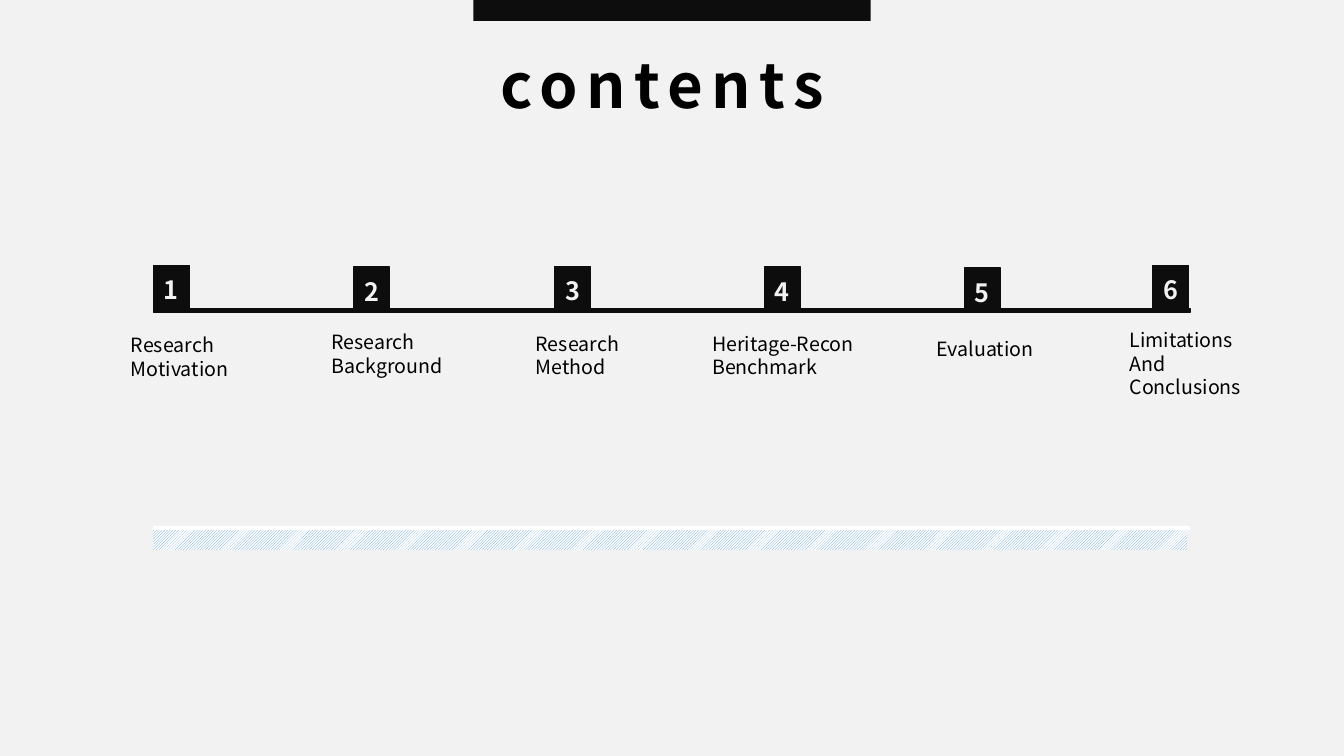
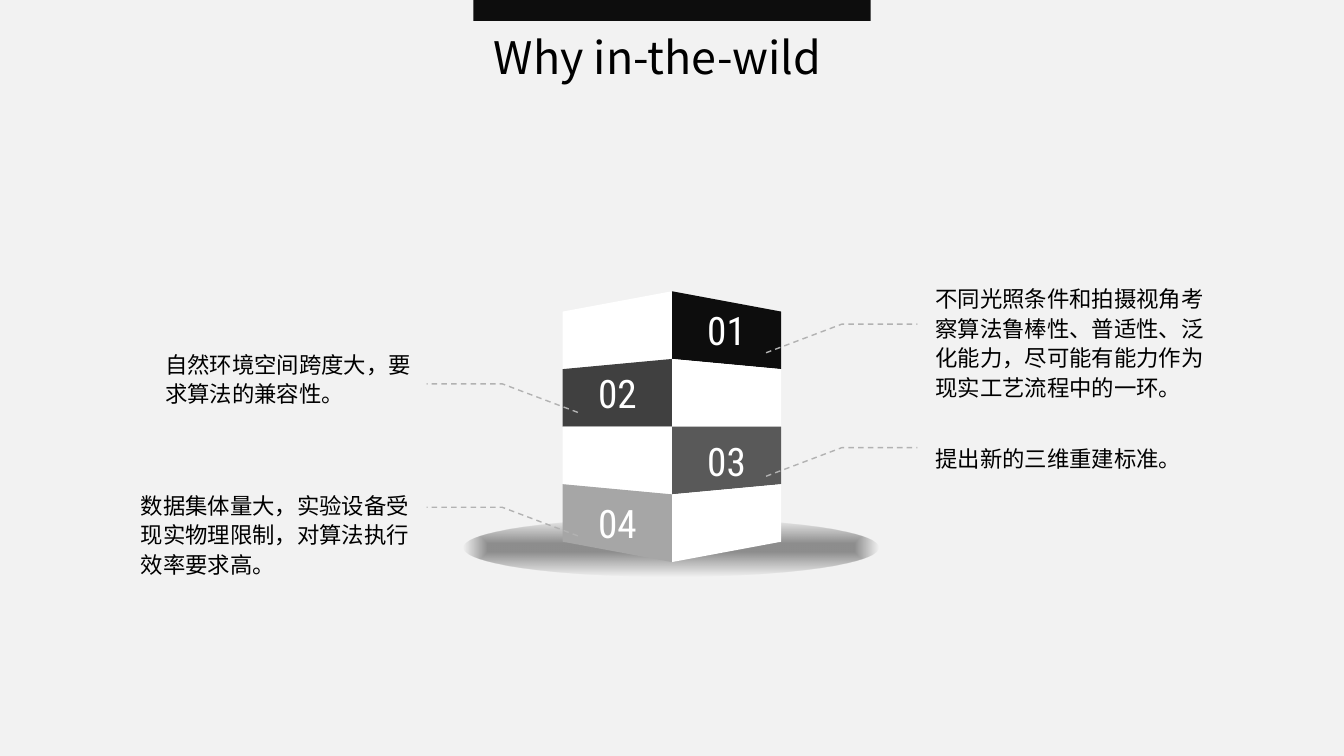
from dataclasses import dataclass

from pptx import Presentation, oxml, util as u
from pptx.dml.color import RGBColor
from pptx.enum import dml, shapes, text
from pptx.oxml import ns


@dataclass(frozen=True)
class Theme:
    paper: str = "F2F2F2"
    ink: str = "000000"
    black: str = "0D0D0D"
    white: str = "FFFFFF"
    blue: str = "5B9BD5"
    leader: str = "B2B2B2"
    shadow: str = "333333"
    latin: str = "Noto Sans CJK JP"
    chinese: str = "Noto Sans CJK SC"
    digits: str = "Roboto Condensed"
    contents_size: int = 44
    title_size: int = 32
    block_size: int = 28
    number_size: int = 18
    body_size: int = 16
    label_size: int = 14


theme = Theme()
rgb = RGBColor.from_string
COLUMNS, CENTRE = 160, 80

presentation = Presentation()
presentation.slide_width = u.Inches(13.333)
presentation.slide_height = u.Inches(7.5)
unit = presentation.slide_width / COLUMNS


def grid(*cells):
    return [round(cell * unit) for cell in cells]


def style(shape, fill=None, line=None, lines=(), font=theme.latin, size=theme.label_size,
          color=theme.ink, bold=False, align=text.PP_ALIGN.LEFT, anchor=text.MSO_ANCHOR.TOP,
          pitch=None, tracking=0):
    if fill:
        shape.shadow.inherit = False
        shape.fill.solid()
        shape.fill.fore_color.rgb = rgb(fill)
        shape.line.fill.background()
    if line:
        shape.line.color.rgb = rgb(line)
        shape.line.width = u.Pt(1)
    if not lines:
        return
    frame = shape.text_frame
    frame_format = {"word_wrap": True, "auto_size": text.MSO_AUTO_SIZE.NONE, "vertical_anchor": anchor}
    for name, value in frame_format.items():
        setattr(frame, name, value)
    frame.text = "\n".join(lines)
    for paragraph in frame.paragraphs:
        paragraph.alignment = align
        paragraph.line_spacing = u.Pt(pitch or size * 1.2)
        run = paragraph.runs[0]
        for name, value in {"name": font, "size": u.Pt(size), "bold": bold}.items():
            setattr(run.font, name, value)
        run.font.color.rgb = rgb(color)
        properties = run.font._element
        east_asian = oxml.parse_xml(f'<a:ea {ns.nsdecls("a")} typeface="{font}"/>')
        properties.find(ns.qn("a:latin")).addnext(east_asian)
        if tracking:
            properties.set("spc", str(tracking * 100))


background = presentation.slide_master.background.fill
background.solid()
background.fore_color.rgb = rgb(theme.paper)

titles = [
    ("contents", (58.4, 4.95, 44.8, 10), {"size": theme.contents_size, "bold": True, "tracking": 6}),
    ("Why in-the-wild", (57.6, 2.9, 44, 7.7), {"size": theme.title_size}),
]
rectangle = shapes.MSO_SHAPE.RECTANGLE
band_width = 47.3
for title, place, format_values in titles:
    slide = presentation.slides.add_slide(presentation.slide_layouts[5])
    band = slide.shapes.add_shape(rectangle, *grid(CENTRE - band_width / 2, 0, band_width, 2.5))
    style(band, theme.black)
    heading = slide.shapes.title
    for name, value in zip(("left", "top", "width", "height"), grid(*place)):
        setattr(heading, name, value)
    style(heading, lines=[title], **format_values)

contents, reasons = presentation.slides

rail_left, rail_width = 18.25, 123.4
strip = contents.shapes.add_shape(rectangle, *grid(rail_left, 62.9, 123.1, 2.6))
style(strip, theme.white)
strip.fill.patterned()
strip.fill.pattern = dml.MSO_PATTERN.LIGHT_UPWARD_DIAGONAL
strip.fill.fore_color.rgb = rgb(theme.blue)
strip.fill.back_color.rgb = rgb(theme.white)
for top, color, line in [(36.7, theme.black, theme.black), (62.6, theme.white, None)]:
    rail = contents.shapes.add_shape(rectangle, *grid(rail_left, top, rail_width, 0.5))
    style(rail, color, line)

chapters = [
    (18.25, 31.6, 14.4, 39.1, theme.chinese, ["Research", "Motivation"]),
    (42.1, 31.8, 38.3, 38.7, theme.chinese, ["Research", "Background"]),
    (66, 31.7, 62.6, 38.9, theme.chinese, ["Research", "Method"]),
    (91, 31.8, 83.6, 38.9, theme.latin, ["Heritage-Recon", "Benchmark"]),
    (114.8, 31.9, 110.3, 39.5, theme.latin, ["Evaluation"]),
    (137.2, 31.6, 133.3, 38.5, theme.latin, ["Limitations", "And", "Conclusions"]),
]
tab_bottom = 37
for number, (left, top, label_left, label_top, font, lines) in enumerate(chapters, 1):
    tab = contents.shapes.add_shape(rectangle, *grid(left, top, 4.3, tab_bottom - top))
    style(tab, theme.black, theme.black, [str(number)], theme.chinese, theme.number_size,
          theme.paper, True, text.PP_ALIGN.CENTER)
    tab.text_frame.margin_top = grid(1.1)[0]
    label = contents.shapes.add_textbox(*grid(label_left, label_top, 24, 1.2 + 2.8 * len(lines)))
    style(label, lines=lines, font=font)

ground = reasons.shapes.add_shape(shapes.MSO_SHAPE.OVAL, *grid(55.2, 61.8, 49.4, 6.8))
style(ground, theme.shadow)
ground._element.spPr.find(ns.qn("a:solidFill")).addprevious(oxml.parse_xml(
    f'<a:gradFill {ns.nsdecls("a")}><a:gsLst>'
    f'<a:gs pos="15000"><a:srgbClr val="{theme.shadow}"><a:alpha val="52000"/></a:srgbClr></a:gs>'
    f'<a:gs pos="100000"><a:srgbClr val="{theme.shadow}"><a:alpha val="0"/></a:srgbClr></a:gs>'
    '</a:gsLst><a:path path="shape"><a:fillToRect l="50000" t="50000" r="50000" b="50000"/>'
    '</a:path></a:gradFill>'))
ground._element.spPr.remove(ground._element.spPr.find(ns.qn("a:solidFill")))

eye_level, face_width, outer_step, inner_step = 50.8, 13, 6.85, 8.06
blocks = [(1, theme.black), (-1, "404040"), (1, "595959"), (-1, "A6A6A6")]
for row, (numbered_side, color) in enumerate(blocks):
    outer, inner = ([eye_level + step * (edge - 2) for edge in (row, row + 1)]
                    for step in (outer_step, inner_step))
    for side in (1, -1):
        edge = CENTRE + side * face_width
        corners = [grid(*point) for point in
                   [(CENTRE, inner[0]), (edge, outer[0]), (edge, outer[1]), (CENTRE, inner[1])]]
        builder = reasons.shapes.build_freeform(*corners[0])
        builder.add_line_segments(corners[1:], close=True)
        face = builder.convert_to_shape()
        numbered = side == numbered_side
        style(face, color if numbered else theme.white, lines=[f"0{row + 1}"] if numbered else (),
              font=theme.digits, size=theme.block_size, color=theme.white,
              align=text.PP_ALIGN.CENTER, anchor=text.MSO_ANCHOR.MIDDLE)

notes = [
    (1, 38.6, (110.2, 33.1, 36, 15), "不同光照条件和拍摄视角考察算法鲁棒性、普适性、泛化能力，尽可能有能力作为现实工艺流程中的一环。"),
    (-1, 45.7, (18.5, 40.9, 32, 8), "自然环境空间跨度大，要求算法的兼容性。"),
    (1, 53.3, (110.2, 52.1, 32, 4.5), "提出新的三维重建标准。"),
    (-1, 60.4, (15.6, 57.7, 36, 11.5), "数据集体量大，实验设备受现实物理限制，对算法执行效率要求高。"),
]
for side, top, place, words in notes:
    points = [grid(CENTRE + side * reach, top + drop)
              for reach, drop in [(11.2, 3.4), (20.2, 0), (29.2, 0)]]
    builder = reasons.shapes.build_freeform(*points[0])
    builder.add_line_segments(points[1:], close=False)
    leader = builder.convert_to_shape()
    style(leader, theme.white, theme.leader)
    leader.fill.background()
    leader.line.dash_style = dml.MSO_LINE.DASH
    note = reasons.shapes.add_textbox(*grid(*place))
    style(note, lines=[words], font=theme.chinese, size=theme.body_size, pitch=21)

presentation.save("out.pptx")
